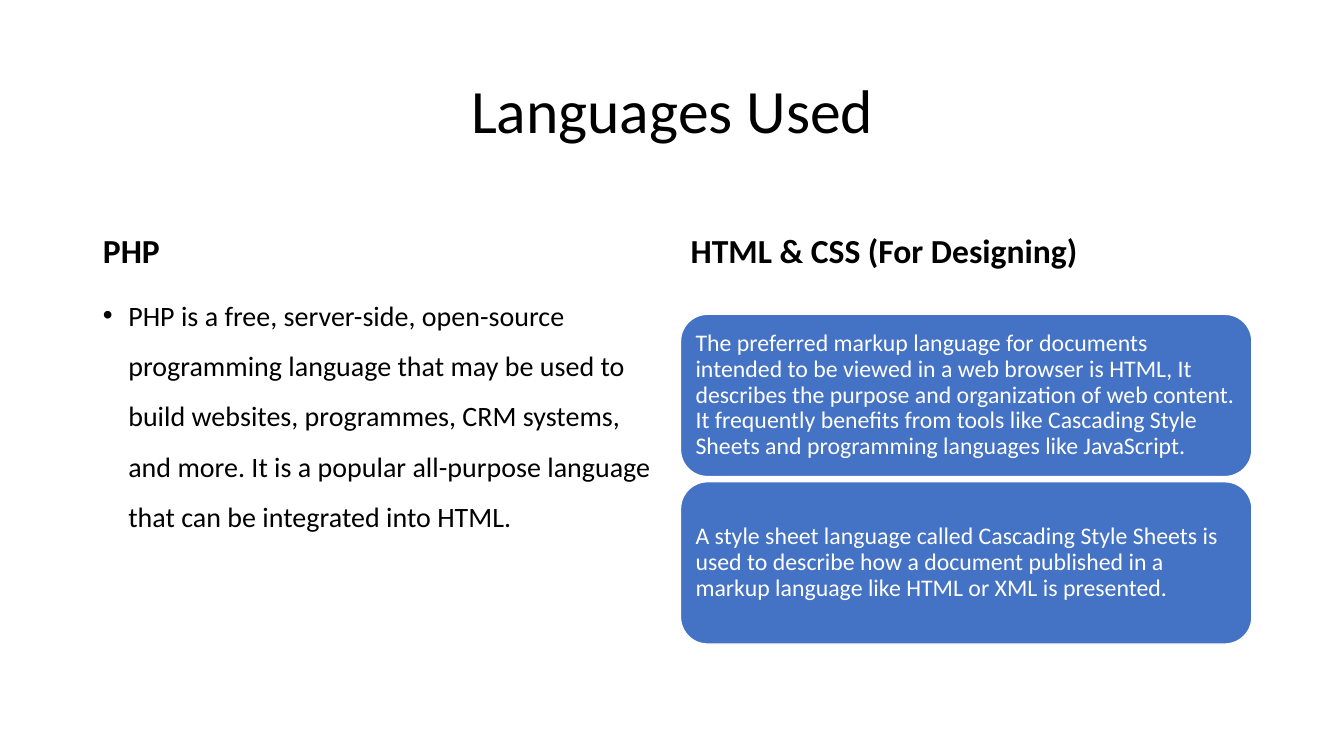
from pptx import Presentation
from pptx.dml.color import RGBColor
from pptx.enum.shapes import MSO_SHAPE as Shape
from pptx.enum.text import MSO_ANCHOR as Anchor, MSO_AUTO_SIZE as AutoSize, PP_ALIGN as Align
from pptx.oxml.ns import qn
from pptx.util import Cm, Pt
from lxml.etree import SubElement

COLORS = {"text": "000000", "card": "4472C4", "light": "FFFFFF"}
FONT = "Calibri"
COMPARISON_LAYOUT = 5 - 1

PHP_TEXT = (
    "PHP is a free, server-side, open-source programming language that may be used to "
    "build websites, programmes, CRM systems, and more. It is a popular all-purpose "
    "language that can be integrated into HTML."
)
DESIGN_TEXTS = [
    "The preferred markup language for documents intended to be viewed in a web browser "
    "is HTML, It describes the purpose and organization of web content. It frequently "
    "benefits from tools like Cascading Style Sheets and programming languages like "
    "JavaScript.",
    "A style sheet language called Cascading Style Sheets is used to describe how a "
    "document published in a markup language like HTML or XML is presented.",
]


def rgb(name):
    return RGBColor.from_string(COLORS[name])


def place(part, left, top, width, height):
    part.left, part.top, part.width, part.height = left, top, width, height


def write(part, words, size, color="text", bold=False, align=Align.LEFT,
          anchor=Anchor.MIDDLE, spacing=0.9, before=0):
    frame = part.text_frame
    frame.word_wrap = True
    frame.auto_size = AutoSize.NONE
    frame.vertical_anchor = anchor
    paragraph = frame.paragraphs[0]
    paragraph.alignment = align
    paragraph.line_spacing = spacing
    paragraph.space_before = Pt(before)
    run = paragraph.add_run()
    run.text = words
    run.font.name = FONT
    run.font.size = Pt(size)
    run.font.bold = bold
    run.font.color.rgb = rgb(color)
    return paragraph


def add_title(title, left, top, width, height):
    place(title, left, top, width, height)
    write(title, "Languages Used", 44, align=Align.CENTER)


def add_heading(heading, words, left, top, width, height):
    place(heading, left, top, width, height)
    write(heading, words, 24, bold=True, anchor=Anchor.BOTTOM, before=10)


def add_php_list(php_list, left, top, width, height):
    place(php_list, left, top, width, height)
    item = write(php_list, PHP_TEXT, 20, anchor=Anchor.TOP, spacing=1.5, before=10)
    properties = item._p.get_or_add_pPr()
    indent = Cm(0.64)
    properties.set("marL", str(indent))
    properties.set("indent", str(-indent))
    SubElement(properties, qn("a:buFont"), typeface="Arial")
    SubElement(properties, qn("a:buChar"), char="•")


def add_design_cards(slide, left, top, width, height):
    gap = Cm(0.13)
    count = len(DESIGN_TEXTS)
    card_height = (height - gap * (count - 1)) // count
    for row, words in enumerate(DESIGN_TEXTS):
        card = slide.shapes.add_shape(
            Shape.ROUNDED_RECTANGLE, left, top + row * (card_height + gap), width, card_height)
        card.shadow.inherit = False
        card.fill.solid()
        card.fill.fore_color.rgb = rgb("card")
        card.line.color.rgb = rgb("light")
        card.line.width = Pt(1)
        frame = card.text_frame
        frame.margin_left = frame.margin_right = Cm(0.18)
        frame.margin_top = frame.margin_bottom = Cm(0.18)
        write(card, words, 17, color="light")


def add_languages_slide(deck):
    slide = deck.slides.add_slide(deck.slide_layouts[COMPARISON_LAYOUT])
    parts = {part.placeholder_format.idx: part for part in slide.placeholders}
    left, right = Cm(2.34), Cm(17.15)
    left_width, right_width = Cm(14.33), Cm(14.4)
    heading_top, heading_height = Cm(4.67), Cm(2.29)

    add_title(parts[0], left, Cm(1.02), Cm(29.21), Cm(3.68))
    add_heading(parts[1], "PHP", left, heading_top, left_width, heading_height)
    add_php_list(parts[2], left, heading_top + heading_height, left_width, Cm(10.24))
    add_heading(parts[3], "HTML & CSS (For Designing)",
                right, heading_top, right_width, heading_height)
    unused = parts[4].element
    unused.getparent().remove(unused)
    add_design_cards(slide, right, Cm(7.92), right_width, Cm(8.31))


def main():
    deck = Presentation()
    deck.slide_width, deck.slide_height = Cm(33.87), Cm(19.05)
    add_languages_slide(deck)
    deck.save("out.pptx")


if __name__ == "__main__":
    main()
